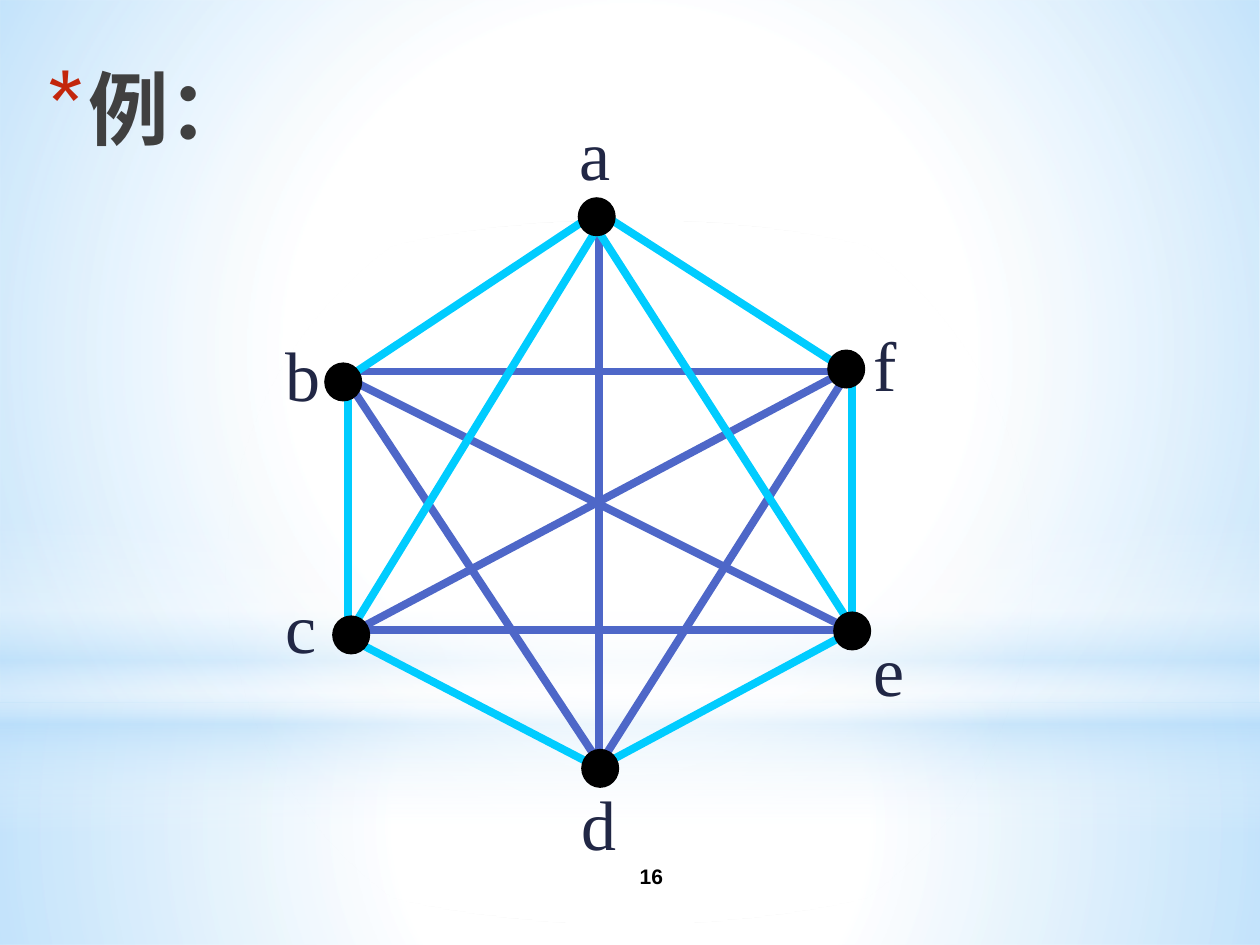
from lxml import etree
from pptx import Presentation
from pptx.dml.color import RGBColor
from pptx.enum.shapes import MSO_CONNECTOR, MSO_SHAPE
from pptx.enum.text import MSO_ANCHOR, PP_ALIGN
from pptx.oxml import parse_xml
from pptx.oxml.ns import nsdecls, qn
from pptx.util import Cm, Pt

RECT, OVAL = MSO_SHAPE.RECTANGLE, MSO_SHAPE.OVAL
STRAIGHT = MSO_CONNECTOR.STRAIGHT
TOP, MIDDLE = MSO_ANCHOR.TOP, MSO_ANCHOR.MIDDLE
LEFT, CENTER = PP_ALIGN.LEFT, PP_ALIGN.CENTER

BLACK = RGBColor(0x00, 0x00, 0x00)
WHITE = RGBColor(0xFF, 0xFF, 0xFF)
SKY = RGBColor(0xB4, 0xDC, 0xFA)
INDIGO = RGBColor(0x4E, 0x67, 0xC8)
CYAN = RGBColor(0x00, 0xCC, 0xFF)
NAVY = RGBColor(0x21, 0x27, 0x45)
GRAY = RGBColor(0x40, 0x40, 0x40)
RED = RGBColor(0xC3, 0x26, 0x0C)

WIDTH, HEIGHT = 25.4, 19.05
HORIZON = 14.17
DOT_SIZE = (0.74, 0.76)
LABEL_HEIGHT = 1.96

TITLE_FONT = {"name": "Karla", "size": Pt(46), "bold": True}
LABEL_FONT = {"name": "Times New Roman", "size": Pt(40)}
NUMBER_FONT = {"name": "Arial", "size": Pt(12), "bold": True}

RADIAL = ('<a:path path="circle"><a:fillToRect l="50000" t="50000" '
          'r="50000" b="50000"/></a:path>')
DOWNWARD = '<a:lin ang="5400000" scaled="0"/>'

# shape, box, direction, stops as (position %, colour, opacity %)
BACKDROP = [
    (RECT, (0, HORIZON, WIDTH, HEIGHT - HORIZON), RADIAL,
     [(0, WHITE, 91), (37, WHITE, 76), (100, SKY, 79)]),
    (RECT, (0, 0, WIDTH, HORIZON), RADIAL,
     [(0, WHITE, 89), (48, WHITE, 62), (100, SKY, 79)]),
    (RECT, (0, 10.46, WIDTH, 6.35), DOWNWARD,
     [(0, WHITE, 0), (29, WHITE, 30), (45, SKY, 40), (55, WHITE, 26),
      (65, SKY, 60), (100, WHITE, 0)]),
    (OVAL, (0, 4.45, WIDTH, HORIZON), RADIAL,
     [(0, WHITE, 100), (56, WHITE, 0)]),
]

# edges as x1, y1, x2, y2
EDGES = {
    INDIGO: [
        (7.11, 12.7, 17.27, 12.7),
        (12.07, 4.45, 12.07, 15.44),
        (7.19, 12.7, 17.15, 7.42),
        (6.99, 7.62, 17.15, 12.7),
        (6.93, 7.57, 12.24, 15.62),
        (12.07, 15.44, 17.15, 7.42),
        (6.99, 7.49, 17.15, 7.49),
    ],
    CYAN: [
        (7.01, 7.54, 7.01, 12.85),
        (11.86, 4.39, 7.11, 7.54),
        (17.12, 12.75, 12.24, 15.37),
        (12.07, 4.27, 17.02, 7.44),
        (7.01, 12.85, 11.86, 15.37),
        (11.96, 4.5, 17.12, 12.55),
        (12.17, 4.39, 7.11, 12.65),
        (17.17, 7.32, 17.17, 12.6),
    ],
}

# vertex: dot corner, label corner, label width
VERTICES = {
    "a": ((11.66, 3.99), (11.43, 2.11), 1.14),
    "b": ((6.55, 7.32), (5.51, 6.55), 1.22),
    "c": ((6.71, 12.42), (5.51, 11.63), 1.14),
    "d": ((11.73, 15.11), (11.48, 15.62), 1.22),
    "e": ((16.81, 12.34), (17.35, 12.5), 1.14),
    "f": ((16.69, 7.06), (17.35, 6.35), 0.99),
}


class GraphSlide:
    def __init__(self, slide):
        self.shapes = slide.shapes

    def shape(self, kind, box):
        shape = self.shapes.add_shape(kind, *map(Cm, box))
        shape.shadow.inherit = False
        return shape

    def glow(self, kind, box, direction, stops):
        """Add a borderless shape with a translucent gradient."""
        shape = self.shape(kind, box)
        shape.line.fill.background()
        stop_xml = "".join(
            f'<a:gs pos="{position * 1000}"><a:srgbClr val="{color}">'
            f'<a:alpha val="{opacity * 1000}"/></a:srgbClr></a:gs>'
            for position, color, opacity in stops)
        gradient = parse_xml(
            f'<a:gradFill {nsdecls("a")} rotWithShape="1">'
            f'<a:gsLst>{stop_xml}</a:gsLst>{direction}</a:gradFill>')
        shape.element.spPr.find(qn("a:prstGeom")).addnext(gradient)

    def edge(self, ends, color):
        edge = self.shapes.add_connector(STRAIGHT, *map(Cm, ends))
        edge.line.color.rgb = color
        edge.line.width = Pt(4.5)
        etree.SubElement(edge.element.spPr, qn("a:effectLst"))

    def dot(self, corner):
        dot = self.shape(OVAL, (*corner, *DOT_SIZE))
        dot.fill.solid()
        dot.fill.fore_color.rgb = BLACK
        dot.line.color.rgb = BLACK
        dot.line.width = Pt(0.75)

    def text(self, words, box, style, color, align=LEFT, anchor=TOP,
             wrap=True, bullet=None):
        frame = self.shapes.add_textbox(*map(Cm, box)).text_frame
        frame.word_wrap = wrap
        frame.vertical_anchor = anchor
        paragraph = frame.paragraphs[0]
        paragraph.alignment = align
        if bullet:
            self.bullet(paragraph, bullet)
        run = paragraph.add_run()
        run.text = words
        for name, value in style.items():
            setattr(run.font, name, value)
        run.font.color.rgb = color

    def bullet(self, paragraph, mark):
        properties = paragraph._p.get_or_add_pPr()
        indent = Cm(0.89)
        properties.set("marL", str(indent))
        properties.set("indent", str(-indent))
        color = etree.SubElement(properties, qn("a:buClr"))
        etree.SubElement(color, qn("a:srgbClr"), val=str(RED))
        etree.SubElement(properties, qn("a:buSzPct"), val="128000")
        etree.SubElement(properties, qn("a:buFont"), typeface="Karla")
        etree.SubElement(properties, qn("a:buChar"), char=mark)


def main():
    deck = Presentation()
    deck.slide_width, deck.slide_height = Cm(WIDTH), Cm(HEIGHT)
    graph = GraphSlide(deck.slides.add_slide(deck.slide_layouts[6]))

    for layer in BACKDROP:
        graph.glow(*layer)
    graph.text("16", (10.59, 17.15, 5.08, 1.02), NUMBER_FONT, BLACK,
               align=CENTER, anchor=MIDDLE)
    graph.text("例：", (0.64, 1.07, 21.59, 2.11), TITLE_FONT, GRAY, bullet="*")

    for color, edges in EDGES.items():
        for ends in edges:
            graph.edge(ends, color)
    for name, (dot_corner, label_corner, label_width) in VERTICES.items():
        graph.dot(dot_corner)
        graph.text(name, (*label_corner, label_width, LABEL_HEIGHT),
                   LABEL_FONT, NAVY, wrap=False)

    deck.save("out.pptx")


if __name__ == "__main__":
    main()
